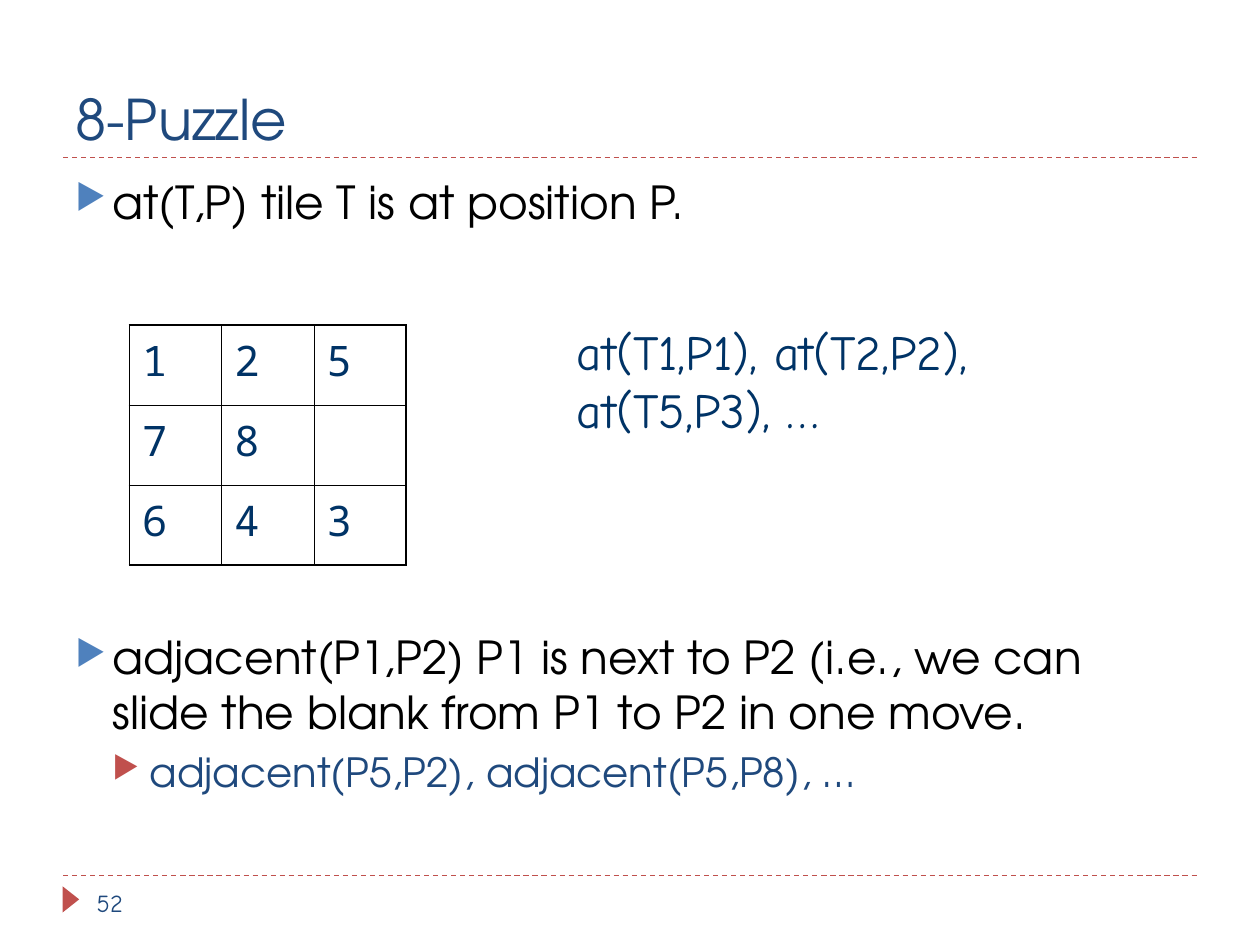
from lxml import etree
from pptx import Presentation
from pptx.dml.color import RGBColor
from pptx.enum.dml import MSO_LINE
from pptx.enum.shapes import MSO_CONNECTOR, MSO_SHAPE
from pptx.enum.text import MSO_ANCHOR
from pptx.oxml.ns import qn
from pptx.util import Pt

DASH = MSO_LINE.DASH
STRAIGHT = MSO_CONNECTOR.STRAIGHT
TRIANGLE = MSO_SHAPE.ISOSCELES_TRIANGLE
TOP, BOTTOM = MSO_ANCHOR.TOP, MSO_ANCHOR.BOTTOM

HEX = {"black": "000000", "navy": "1F497D", "ink": "003366",
       "red": "C0504D", "blue": "4F81BD"}
SANS, MONO, COMIC = "TeX Gyre Adventor", "Noto Sans Mono", "Comic Neue"

TITLE = "8-Puzzle"
# text, level, size, colour, bullet colour, space before
POINTS = [
    ("at(T,P) tile T is at position P.", 0, 26, "black", "blue", 0),
    ("adjacent(P1,P2) P1 is next to P2 (i.e., we can slide the blank "
     "from P1 to P2 in one move.", 0, 26, "black", "blue", 229.2),
    ("adjacent(P5,P2), adjacent(P5,P8), …", 1, 23, "navy", "red", 5),
]
TILES = ["125", "78 ", "643"]
FACTS = "at(T1,P1), at(T2,P2), at(T5,P3), …"
PAGE = "52"

INDENT = 21.2
GRID = (74, 185.8)
TILE = (52.7, 45.7)
OUTER, INNER = 1.08, 0.45
RULES = (90, 500.4)


def color(name):
    return RGBColor.from_string(HEX[name])


def write(para, text, size, font, tint):
    run = para.add_run()
    run.text = text
    run.font.size = Pt(size)
    run.font.name = font
    run.font.color.rgb = color(tint)


def add_box(slide, left, top, width, height, anchor=TOP):
    box = slide.shapes.add_textbox(Pt(left), Pt(top), Pt(width), Pt(height))
    frame = box.text_frame
    frame.word_wrap = True
    frame.vertical_anchor = anchor
    return frame


def set_bullet(para, level, tint):
    props = para._p.get_or_add_pPr()
    props.set("marL", str(Pt(INDENT * (level + 1))))
    props.set("indent", str(-Pt(INDENT)))
    shade = etree.SubElement(props, qn("a:buClr"))
    etree.SubElement(shade, qn("a:srgbClr"), val=HEX[tint])
    etree.SubElement(props, qn("a:buSzPct"), val="76000")
    etree.SubElement(props, qn("a:buChar"), char="▶")


def add_rule(slide, top):
    line = slide.shapes.add_connector(STRAIGHT, Pt(36), Pt(top), Pt(684), Pt(top))
    line.line.color.rgb = color("red")
    line.line.width = Pt(0.75)
    line.line.dash_style = DASH
    etree.SubElement(line._element.spPr, qn("a:effectLst"))


def add_marker(slide):
    mark = slide.shapes.add_shape(TRIANGLE, Pt(33), Pt(509.2), Pt(15), Pt(9.5))
    mark.rotation = 90
    mark.shadow.inherit = False
    mark.fill.solid()
    mark.fill.fore_color.rgb = color("red")
    mark.line.fill.background()


def add_points(slide):
    frame = add_box(slide, 36, 95.8, 648, 386.6)
    for i, (text, level, size, tint, bullet, gap) in enumerate(POINTS):
        para = frame.add_paragraph() if i else frame.paragraphs[0]
        para.level = level
        set_bullet(para, level, bullet)
        if gap:
            para.space_before = Pt(gap)
        write(para, text, size, SANS, tint)


def set_border(cell, row, col, last):
    """Draw thick lines on the rim of the grid and thin ones inside."""
    props = cell._tc.get_or_add_tcPr()
    rims = {"lnL": col == 0, "lnR": col == last,
            "lnT": row == 0, "lnB": row == last}
    for tag, rim in rims.items():
        line = etree.SubElement(props, qn("a:" + tag),
                                w=str(Pt(OUTER if rim else INNER)))
        fill = etree.SubElement(line, qn("a:solidFill"))
        etree.SubElement(fill, qn("a:srgbClr"), val=HEX["black"])


def add_grid(slide):
    count = len(TILES)
    wide, high = TILE
    left, top = GRID
    table = slide.shapes.add_table(count, count, Pt(left), Pt(top),
                                   Pt(wide * count), Pt(high * count)).table
    table.first_row = table.horz_banding = False
    for i in range(count):
        table.columns[i].width = Pt(wide)
        table.rows[i].height = Pt(high)
    for row, tiles in enumerate(TILES):
        for col, tile in enumerate(tiles):
            cell = table.cell(row, col)
            set_border(cell, row, col, count - 1)
            cell.fill.background()
            if tile != " ":
                write(cell.text_frame.paragraphs[0], tile, 24, MONO, "ink")


def main():
    deck = Presentation()
    deck.slide_width, deck.slide_height = Pt(720), Pt(540)
    slide = deck.slides.add_slide(deck.slide_layouts[6])
    for top in RULES:
        add_rule(slide, top)
    add_marker(slide)
    head = add_box(slide, 36, 12.2, 648, 77.8, BOTTOM)
    write(head.paragraphs[0], TITLE, 32, SANS, "navy")
    add_points(slide)
    page = add_box(slide, 48.2, 504, 156, 25.2)
    write(page.paragraphs[0], PAGE, 14, COMIC, "navy")
    add_grid(slide)
    facts = add_box(slide, 322.6, 180, 340.6, 74.2)
    write(facts.paragraphs[0], FACTS, 28, COMIC, "ink")
    deck.save("out.pptx")


if __name__ == "__main__":
    main()
